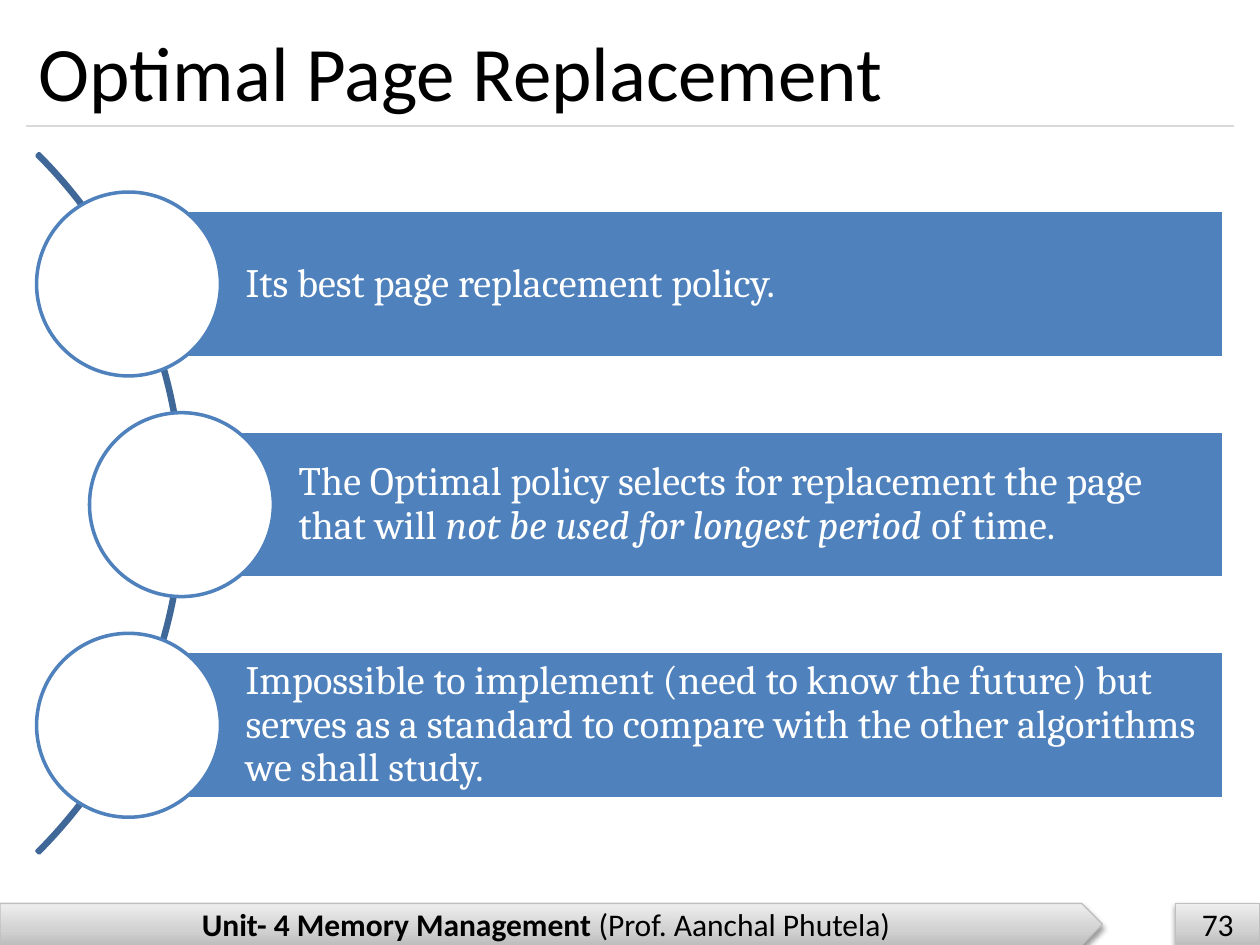
from lxml import etree
from pptx import Presentation
from pptx.dml.color import RGBColor
from pptx.enum.shapes import MSO_CONNECTOR, MSO_SHAPE
from pptx.enum.text import MSO_ANCHOR, PP_ALIGN
from pptx.oxml import parse_xml
from pptx.oxml.ns import nsdecls, qn
from pptx.util import Inches, Pt

RECTANGLE, PENTAGON = MSO_SHAPE.RECTANGLE, MSO_SHAPE.PENTAGON
OVAL, BLOCK_ARC = MSO_SHAPE.OVAL, MSO_SHAPE.BLOCK_ARC
STRAIGHT = MSO_CONNECTOR.STRAIGHT
MIDDLE = MSO_ANCHOR.MIDDLE
LEFT, CENTER = PP_ALIGN.LEFT, PP_ALIGN.CENTER

BLACK = RGBColor(0x00, 0x00, 0x00)
WHITE = RGBColor(0xFF, 0xFF, 0xFF)
BLUE = RGBColor(0x4F, 0x81, 0xBD)
DARK_BLUE = RGBColor(0x3F, 0x67, 0x97)
RULE_GREY = RGBColor(0xD9, 0xD9, 0xD9)
EDGE_GREY = RGBColor(0xBF, 0xBF, 0xBF)
FOOTER_STOPS = [(0, "BDBDBD"), (35, "D1D1D1"), (100, "EEEEEE")]

TITLE_FORMAT = {"name": "Calibri", "size": Pt(44)}
FOOTER_FORMAT = {"name": "Calibri", "size": Pt(18)}
POINT_FORMAT = {"name": "Cambria", "size": Pt(23)}

# Each point is a list of (text, extra format) spans.
POINTS = [
    [("Its best page replacement policy.", {})],
    [("The Optimal policy selects for replacement the page that will ", {}),
     ("not be used for longest period ", {"italic": True}),
     ("of time.", {})],
    [("Impossible to implement (need to know the future) but serves as a "
      "standard to compare with the other algorithms we shall study.", {})],
]


def add_box(page, kind, box, fill, line, weight):
    """Add a preset shape at box (left, top, width, height in inches)."""
    shape = page.shapes.add_shape(kind, *map(Inches, box))
    shape.shadow.inherit = False
    if fill is not None:
        shape.fill.solid()
        shape.fill.fore_color.rgb = fill
    shape.line.color.rgb = line
    shape.line.width = Pt(weight)
    return shape


def write(shape, spans, format_values, color, align):
    frame = shape.text_frame
    frame.word_wrap = True
    frame.vertical_anchor = MIDDLE
    para = frame.paragraphs[0]
    para.alignment = align
    for text, extra in spans:
        span = para.add_run()
        span.text = text
        span.font.color.rgb = color
        for key, value in {**format_values, **extra}.items():
            setattr(span.font, key, value)
    return para


def add_title(page, box):
    left, top, width, height = box
    title = page.shapes.add_textbox(*map(Inches, box))
    write(title, [("Optimal Page Replacement", {})], TITLE_FORMAT, BLACK, LEFT)
    bottom = Inches(top + height)
    rule = page.shapes.add_connector(
        STRAIGHT, Inches(left), bottom, Inches(left + width), bottom)
    rule.line.color.rgb = RULE_GREY
    rule.line.width = Pt(0.75)
    etree.SubElement(rule._element.spPr, qn("a:effectLst"))


def add_footer_part(page, kind, box, spans):
    """Add a grey tab with a vertical gradient and a soft shadow below it."""
    tab = add_box(page, kind, box, None, EDGE_GREY, 0.75)
    stops = "".join(
        f'<a:gs pos="{place * 1000}"><a:srgbClr val="{color}"/></a:gs>'
        for place, color in FOOTER_STOPS)
    properties = tab._element.spPr
    properties.find(qn("a:prstGeom")).addnext(parse_xml(
        f'<a:gradFill {nsdecls("a")} rotWithShape="1"><a:gsLst>{stops}</a:gsLst>'
        '<a:lin ang="16200000" scaled="1"/></a:gradFill>'))
    properties.find(qn("a:effectLst")).append(parse_xml(
        f'<a:outerShdw {nsdecls("a")} blurRad="{Pt(3.1)}" dist="{Pt(1.6)}" '
        'dir="5400000" rotWithShape="0"><a:srgbClr val="000000">'
        '<a:alpha val="38000"/></a:srgbClr></a:outerShdw>'))
    write(tab, spans, FOOTER_FORMAT, BLACK, CENTER)


def add_footer(page, top, height):
    add_footer_part(page, PENTAGON, (0, top, 8.75, height),
                    [("Unit- 4 Memory Management ", {"bold": True}),
                     ("(Prof. Aanchal Phutela)", {})])
    add_footer_part(page, RECTANGLE, (9.33, top, 0.67, height), [("73", {})])


def add_point(page, box, spans):
    """Add a bar of text with a circle centred on its left edge."""
    left, top, width, height = box
    bar = add_box(page, RECTANGLE, box, BLUE, WHITE, 2)
    margins = {"margin_left": 0.93, "margin_right": 0.06,
               "margin_top": 0.06, "margin_bottom": 0.06}
    for side, inset in margins.items():
        setattr(bar.text_frame, side, Inches(inset))
    write(bar, spans, POINT_FORMAT, WHITE, LEFT).line_spacing = 0.9
    size = height * 1.25
    circle = (left - size / 2, top + (height - size) / 2, size, size)
    add_box(page, OVAL, circle, WHITE, BLUE, 2)


def add_curved_list(page, box):
    """Stack the points along an arc; the middle one bulges to the right."""
    left, top, width, height = box
    diameter, bulge = 7.85, 0.42
    arc = add_box(page, BLOCK_ARC,
                  (left + bulge + 0.02 - diameter, 0.07, diameter, diameter),
                  DARK_BLUE, DARK_BLUE, 2)
    for index, value in enumerate((189, 27, 0.003)):
        arc.adjustments[index] = value
    bar_height = height / 4
    step = (height - bar_height) / (len(POINTS) - 1)
    for index, spans in enumerate(POINTS):
        indent = bulge * (index % 2)
        add_point(page, (left + indent, top + index * step,
                         width - indent, bar_height), spans)


def main():
    deck = Presentation()
    deck.slide_width, deck.slide_height = Inches(10), Inches(7.5)
    page = deck.slides.add_slide(deck.slide_layouts[6])
    add_footer(page, 7.17, 0.33)
    add_title(page, (0.21, 0.12, 9.58, 0.88))
    add_curved_list(page, (1.02, 1.67, 8.69, 4.67))
    deck.save("out.pptx")


if __name__ == "__main__":
    main()
